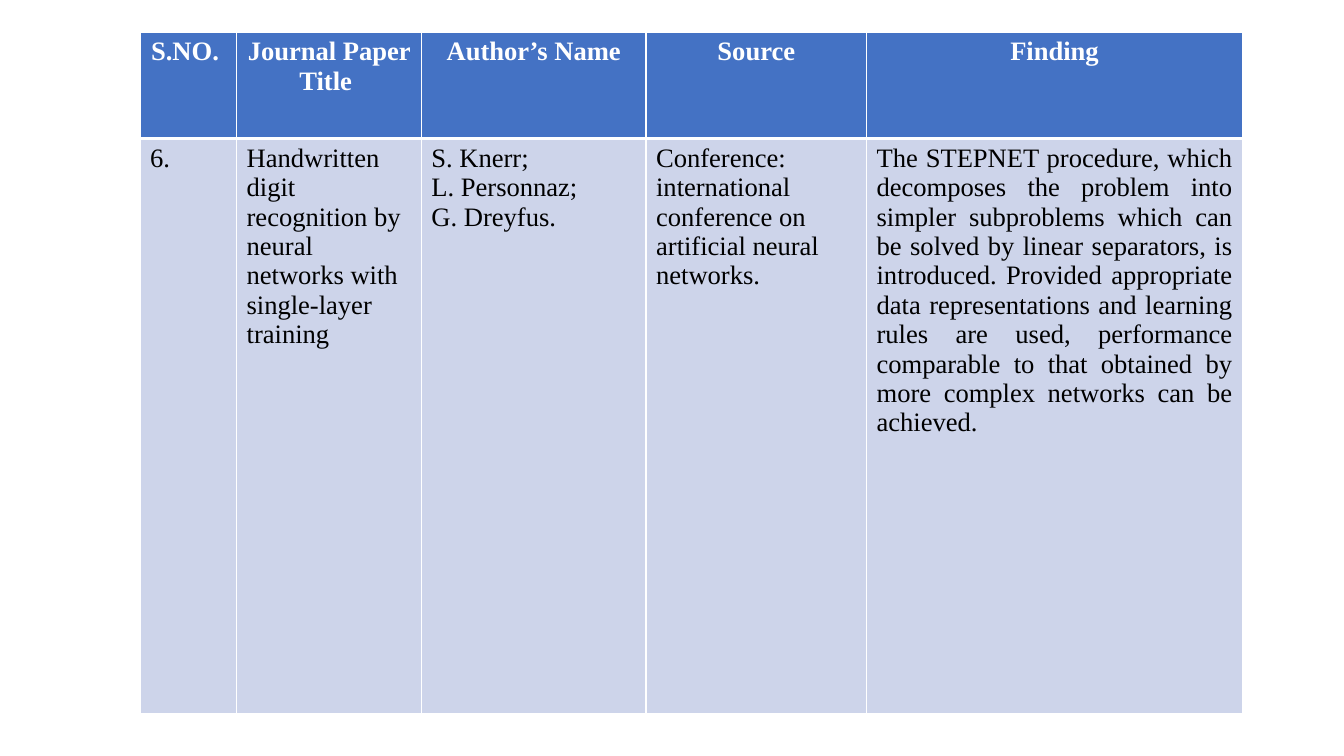
from pptx import Presentation
from pptx.dml.color import RGBColor
from pptx.enum.text import PP_ALIGN
from pptx.oxml import parse_xml
from pptx.oxml.ns import nsdecls
from pptx.util import Pt

# Content: heading, column width, body paragraphs, body alignment
COLUMNS = [
    ("S.NO. ", 69, ["6."], PP_ALIGN.JUSTIFY),
    ("Journal Paper Title ", 132,
     ["Handwritten digit recognition by neural networks with "
      "single-layer training"], PP_ALIGN.LEFT),
    ("Author’s Name", 160.5,
     ["S. Knerr; ", "L. Personnaz; ", "G. Dreyfus."], PP_ALIGN.LEFT),
    ("Source", 157.5,
     ["Conference: international conference on artificial neural networks."],
     PP_ALIGN.LEFT),
    ("Finding", 268.5,
     ["The STEPNET procedure, which decomposes the problem into simpler "
      "subproblems which can be solved by linear separators, is introduced. "
      "Provided appropriate data representations and learning rules are used, "
      "performance comparable to that obtained by more complex networks can "
      "be achieved."], PP_ALIGN.JUSTIFY),
]
LEFT, TOP = 100, 23
ROW_HEIGHTS = [76, 411]
FONT, SIZE = "Times New Roman", 19
WHITE, BLACK, HEADER_BLUE, BODY_BLUE = "FFFFFF", "000000", "4472C4", "CDD4EA"
THIN, THICK = 1, 3


def color(value):
    return RGBColor.from_string(value)


def set_borders(cell, top, bottom):
    sides = [("lnL", THIN), ("lnR", THIN), ("lnT", top), ("lnB", bottom)]
    properties = cell._tc.get_or_add_tcPr()
    for position, (side, width) in enumerate(sides):
        properties.insert(position, parse_xml(
            f'<a:{side} {nsdecls("a")} w="{Pt(width)}"><a:solidFill>'
            f'<a:srgbClr val="{WHITE}"/></a:solidFill></a:{side}>'))


def fill_cell(cell, paragraphs, align, text_color, fill, bold):
    cell.fill.solid()
    cell.fill.fore_color.rgb = color(fill)
    frame = cell.text_frame
    for index, text in enumerate(paragraphs):
        paragraph = frame.add_paragraph() if index else frame.paragraphs[0]
        paragraph.alignment = align
        run = paragraph.add_run()
        run.text = text
        run.font.name = FONT
        run.font.size = Pt(SIZE)
        run.font.bold = bold
        run.font.color.rgb = color(text_color)


# Slide
deck = Presentation()
deck.slide_width, deck.slide_height = Pt(960), Pt(540)
slide = deck.slides.add_slide(deck.slide_layouts[6])

# Literature table
table = slide.shapes.add_table(
    len(ROW_HEIGHTS), len(COLUMNS), Pt(LEFT), Pt(TOP),
    Pt(sum(column[1] for column in COLUMNS)), Pt(sum(ROW_HEIGHTS))).table
for row, height in zip(table.rows, ROW_HEIGHTS):
    row.height = Pt(height)

for index, (heading, width, paragraphs, align) in enumerate(COLUMNS):
    table.columns[index].width = Pt(width)
    header, body = table.cell(0, index), table.cell(1, index)
    fill_cell(header, [heading], PP_ALIGN.CENTER, WHITE, HEADER_BLUE, True)
    fill_cell(body, paragraphs, align, BLACK, BODY_BLUE, False)
    set_borders(header, THIN, THICK)
    set_borders(body, THICK, THIN)

deck.save("out.pptx")
